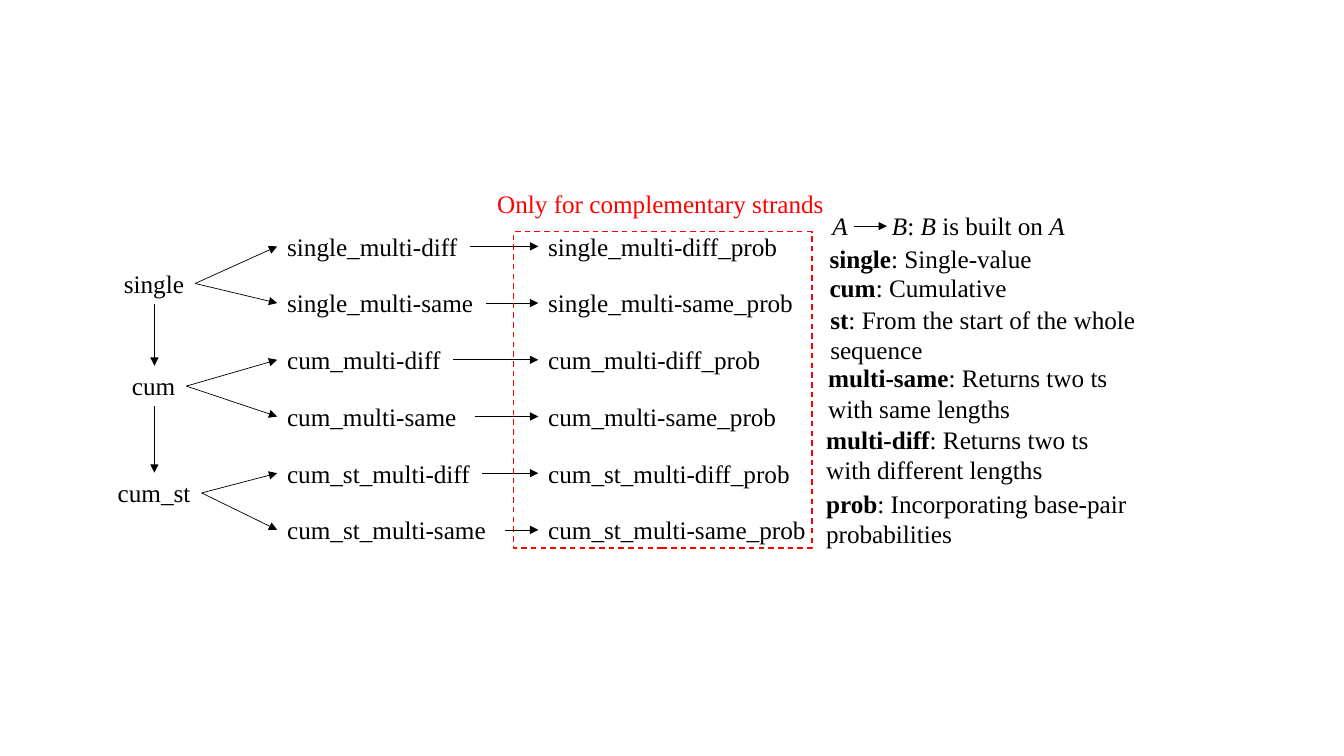
import lxml.etree
import pptx
import pptx.dml.color
import pptx.enum.dml
import pptx.enum.shapes
import pptx.enum.text
import pptx.oxml.ns
import pptx.util

Pt = pptx.util.Pt
qn = pptx.oxml.ns.qn

COLORS = {"ink": "000000", "mark": "FF0000"}
FONT = "Times New Roman"
LINE = 29  # height of a one-line box
TOP, STEP = 161.5, 40.5  # first row and row pitch
MID, LAST = 198, 384.5  # left edges of the two method columns

# name, left, width, centre height
STEMS = [
    ("single", 81.4, 58, 202.5),
    ("cum", 87.1, 46, 275.8),
    ("cum_st", 77, 67, 352.1),
]
# width of the method, width of its prob variant
WIDTHS = [(137.5, 180), (149, 191.5), (125.5, 168),
          (141, 179.5), (146.5, 188.5), (162.5, 200)]
# term, meaning, further line, left, top, width
NOTES = [
    ("single", "Single-value", "", 585.5, 170, 164),
    ("cum", "Cumulative", "", 585.5, 191, 147),
    ("st", "From the start of the whole", "sequence", 586, 214, 235),
    ("multi-same", "Returns two ts", "with same lengths", 584.5, 255.5, 220),
    ("multi-diff", "Returns two ts", "with different lengths", 583, 299.5, 209),
    ("prob", "Incorporating base-pair", "probabilities", 583, 345, 236),
]


def rgb(name):
    return pptx.dml.color.RGBColor.from_string(COLORS[name])


def add_text(slide, lines, left, top, width, color="ink"):
    """Write lines, each a list of (text, style) with style "", "b" or "i"."""
    box = slide.shapes.add_textbox(
        Pt(left), Pt(top), Pt(width), Pt(LINE + 22 * (len(lines) - 1)))
    frame = box.text_frame
    frame.word_wrap = False
    frame.auto_size = pptx.enum.text.MSO_AUTO_SIZE.SHAPE_TO_FIT_TEXT
    for i, parts in enumerate(lines):
        para = frame.add_paragraph() if i else frame.paragraphs[0]
        for text, style in parts:
            run = para.add_run()
            run.text = text
            font = run.font
            font.name, font.size = FONT, Pt(18)
            font.bold, font.italic = style == "b", style == "i"
            font.color.rgb = rgb(color)
    return box


def add_arrow(slide, x1, y1, x2, y2):
    arrow = slide.shapes.add_connector(
        pptx.enum.shapes.MSO_CONNECTOR.STRAIGHT, Pt(x1), Pt(y1), Pt(x2), Pt(y2))
    arrow.line.width = Pt(0.5)
    arrow.line.color.rgb = rgb("ink")
    props = arrow.element.spPr
    lxml.etree.SubElement(props.find(qn("a:ln")), qn("a:tailEnd"), type="triangle")
    lxml.etree.SubElement(props, qn("a:effectLst"))


def add_frame(slide, left, top, width, height):
    frame = slide.shapes.add_shape(
        pptx.enum.shapes.MSO_SHAPE.RECTANGLE,
        Pt(left), Pt(top), Pt(width), Pt(height))
    frame.shadow.inherit = False
    frame.fill.background()
    frame.line.color.rgb = rgb("mark")
    frame.line.width = Pt(1)
    frame.line.dash_style = pptx.enum.dml.MSO_LINE.DASH


def add_tab(box, stop):
    props = box.text_frame.paragraphs[0]._p.get_or_add_pPr()
    tabs = lxml.etree.SubElement(props, qn("a:tabLst"))
    lxml.etree.SubElement(tabs, qn("a:tab"), pos=str(Pt(stop)), algn="l")


def add_tree(slide):
    half = LINE / 2
    for i, (stem, left, width, mid) in enumerate(STEMS):
        add_text(slide, [[(stem, "")]], left, mid - half, width)
        if i < len(STEMS) - 1:
            add_arrow(slide, 110.3, mid + half, 110.3, STEMS[i + 1][3] - half)
        for j, kind in enumerate(("diff", "same")):
            row = 2 * i + j
            top = TOP + STEP * row
            name = f"{stem}_multi-{kind}"
            first, second = WIDTHS[row]
            add_text(slide, [[(name, "")]], MID, top, first)
            add_text(slide, [[(name + "_prob", "")]], LAST, top, second)
            add_arrow(slide, left + width, mid, MID, top + half)
            add_arrow(slide, MID + first, top + half, LAST, top + half)


def add_legend(slide):
    rule = [("A\tB", "i"), (": ", ""), ("B", "i"),
            (" is built on ", ""), ("A", "i")]
    add_tab(add_text(slide, [rule], 587.5, 147, 186.5), 42.5)
    add_arrow(slide, 610, 161.5, 633.5, 161.5)
    for term, sense, more, left, top, width in NOTES:
        lines = [[(term, "b"), (": " + sense, "")]]
        if more:
            lines.append([(more, "")])
        add_text(slide, lines, left, top, width)


def main():
    deck = pptx.Presentation()
    deck.slide_width, deck.slide_height = Pt(960), Pt(540)
    slide = deck.slides.add_slide(deck.slide_layouts[6])
    add_tree(slide)
    add_legend(slide)
    add_frame(slide, 367, 165.5, 213, 226)
    add_text(slide, [[("Only for complementary strands", "")]],
             348, 131, 250.5, "mark")
    deck.save("out.pptx")


if __name__ == "__main__":
    main()
